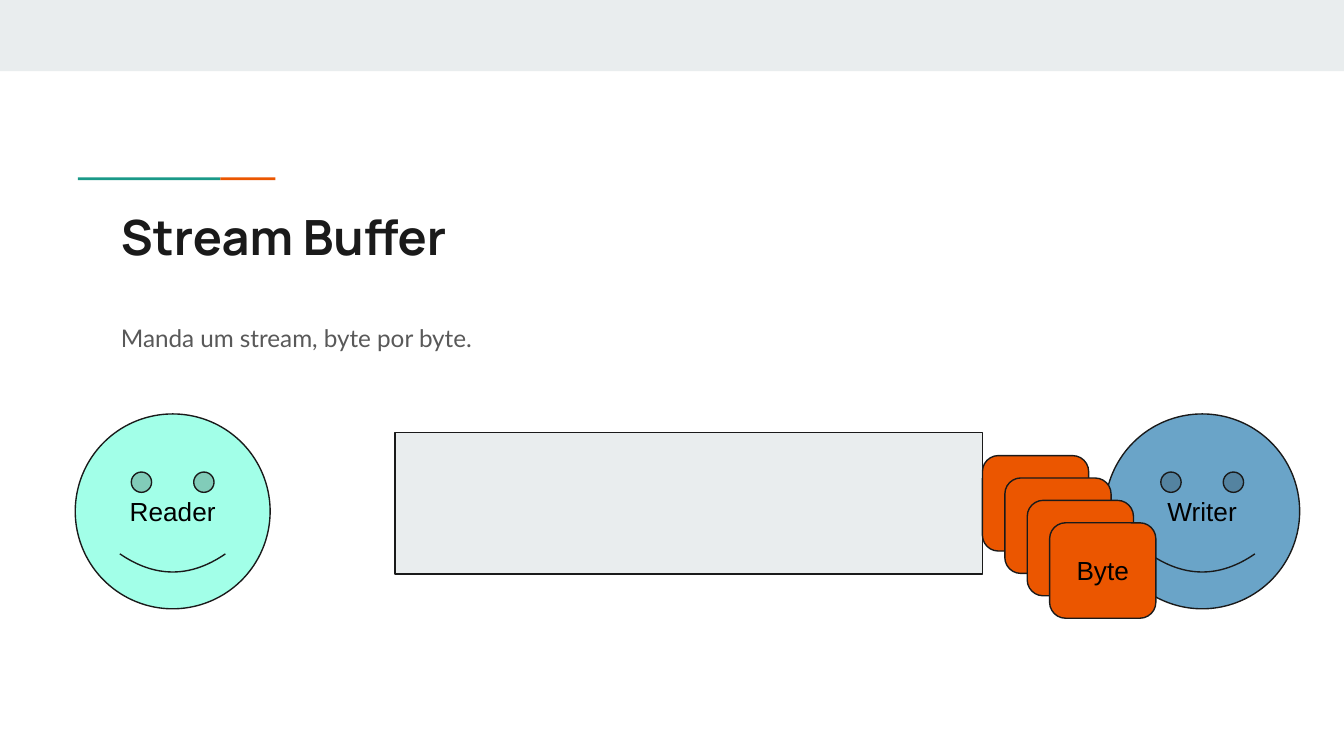
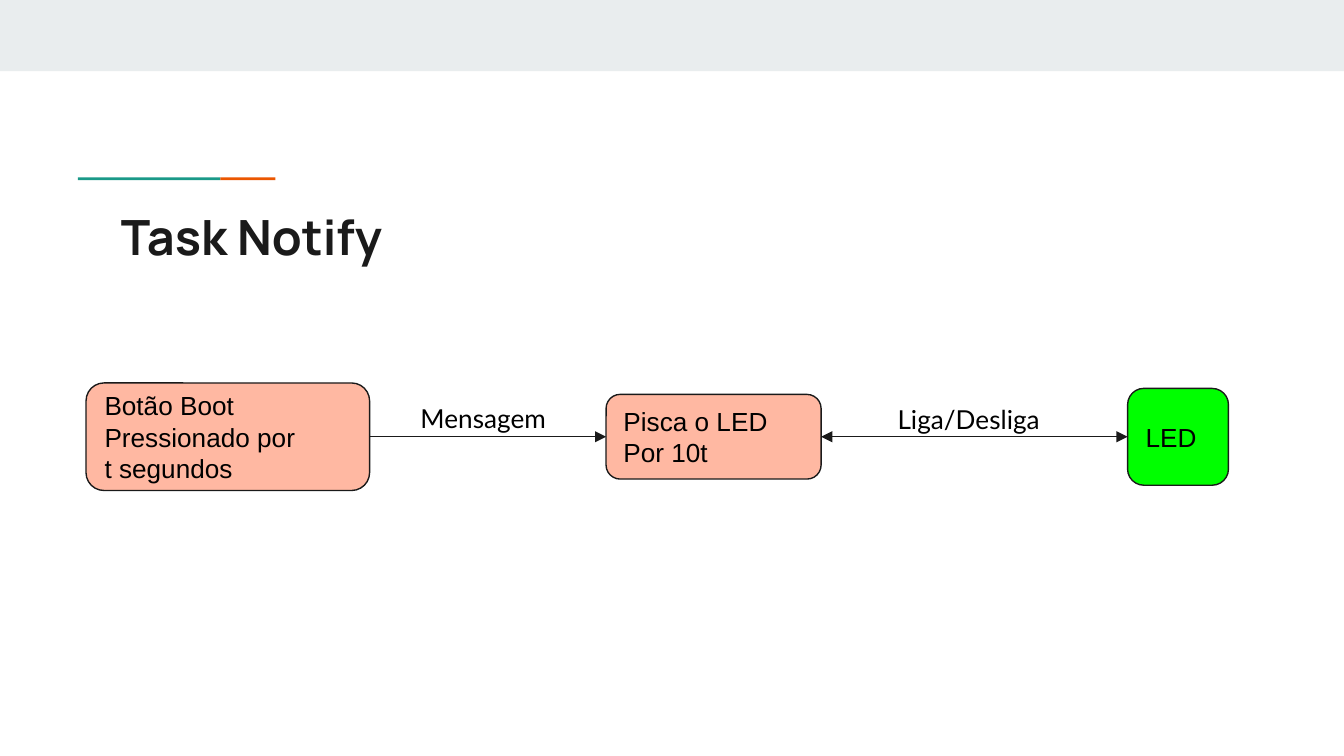
from dataclasses import dataclass

from lxml.etree import SubElement
from pptx import Presentation
from pptx.dml.color import RGBColor
from pptx.enum.shapes import MSO_CONNECTOR as Link, MSO_SHAPE as Preset
from pptx.enum.text import MSO_ANCHOR as Anchor, MSO_AUTO_SIZE as AutoSize, PP_ALIGN as Align
from pptx.oxml.ns import qn
from pptx.util import Inches, Pt


@dataclass(frozen=True)
class Theme:
    ink: str = "1A1A1A"
    black: str = "000000"
    gray: str = "595959"
    pale: str = "E9EDEE"
    orange: str = "EB5600"
    teal: str = "1A9988"
    mint: str = "A2FFE8"
    blue: str = "6AA4C8"
    peach: str = "FFB8A2"
    green: str = "00FF00"
    heading: str = "Manrope"
    body: str = "Lato"
    label: str = "Arial"
    title_size: float = 26
    body_size: float = 13
    label_size: float = 14
    line: float = 0.75


THEME = Theme()

# Content: positions are left, top, width, height in inches
SIZE = (10, 10 * 9 / 16)
TITLE_AT = (0.8, 1.44, 8.41, 0.59)
BODY_AT = (0.8, 2.27, 8.41, 2.47)
BANDS = [
    ((0, 0, 10, 0.53), THEME.pale),
    ((0.58, 1.32, 1.06, 0.02), THEME.teal),
    ((1.64, 1.32, 0.41, 0.02), THEME.orange),
]

STREAM_TITLE = "Stream Buffer"
STREAM_BODY = "Manda um stream, byte por byte."
BUFFER_AT = (2.94, 3.22, 4.37, 1.05)
FACES = [("Reader", 0.56, THEME.mint), ("Writer", 8.22, THEME.blue)]
FACE_TOP, FACE_SIZE, SMILE = 3.08, 1.45, 0.05
BYTE_COUNT, BYTE_STEP = 4, 0.5 / 3
BYTE_AT = (7.31, 3.39, 0.79, 0.71)

NOTIFY_TITLE = "Task Notify"
FLOW_MIDDLE = 3.25
# Text lines, left, width, height, preset, fill
STEPS = [
    (["Botão Boot", "Pressionado por", "t segundos"], 0.64, 2.11, 0.8,
     Preset.FLOWCHART_ALTERNATE_PROCESS, THEME.peach),
    (["Pisca o LED", "Por 10t"], 4.51, 1.6, 0.63,
     Preset.FLOWCHART_ALTERNATE_PROCESS, THEME.peach),
    (["LED"], 8.39, 0.75, 0.72, Preset.ROUNDED_RECTANGLE, THEME.green),
]
# Label, label position, arrowhead ends
ARROWS = [
    ("Mensagem", (3.03, 2.89, 1.35, 0.32), ["tailEnd"]),
    ("Liga/Desliga", (6.58, 2.9, 1.35, 0.32), ["headEnd", "tailEnd"]),
]
LEFT_SITE, RIGHT_SITE = 1, 3


# Helpers
def color(value):
    return RGBColor.from_string(value)


def inches(at):
    return [Inches(value) for value in at]


def write(box, lines, font=THEME.label, size=THEME.label_size, ink=THEME.black,
          bold=False, align=Align.LEFT, anchor=Anchor.TOP, spacing=1.0):
    frame = box.text_frame
    frame.word_wrap = True
    frame.auto_size = AutoSize.NONE
    frame.vertical_anchor = anchor
    frame.margin_left = frame.margin_right = Inches(0.1)
    frame.margin_top = frame.margin_bottom = Inches(0.1)
    for index, line in enumerate(lines):
        para = frame.add_paragraph() if index else frame.paragraphs[0]
        para.alignment = align
        para.line_spacing = spacing
        para.space_before = para.space_after = Pt(0)
        span = para.add_run()
        span.text = line
        span.font.name, span.font.size = font, Pt(size)
        span.font.bold = bold
        span.font.color.rgb = color(ink)


def add_block(page, preset, at, fill, lines=(), outlined=True, align=Align.CENTER):
    shape = page.shapes.add_shape(preset, *inches(at))
    shape.shadow.inherit = False
    shape.fill.solid()
    shape.fill.fore_color.rgb = color(fill)
    if outlined:
        shape.line.color.rgb = color(THEME.ink)
        shape.line.width = Pt(THEME.line)
    else:
        shape.line.fill.background()
    if lines:
        write(shape, lines, align=align, anchor=Anchor.MIDDLE)
    return shape


def add_arrow(page, start, end, heads):
    arrow = page.shapes.add_connector(Link.STRAIGHT, 0, 0, 0, 0)
    arrow.begin_connect(start, RIGHT_SITE)
    arrow.end_connect(end, LEFT_SITE)
    arrow.line.color.rgb = color(THEME.ink)
    arrow.line.width = Pt(THEME.line)
    properties = arrow.element.find(qn("p:spPr"))
    for head in heads:
        SubElement(properties.find(qn("a:ln")), qn(f"a:{head}"), type="triangle")
    SubElement(properties, qn("a:effectLst"))


def place(placeholder, at):
    (placeholder.left, placeholder.top,
     placeholder.width, placeholder.height) = inches(at)
    return placeholder


def add_page(deck, layout_name, title):
    page = deck.slides.add_slide(deck.slide_layouts.get_by_name(layout_name))
    write(place(page.shapes.title, TITLE_AT), [title],
          font=THEME.heading, size=THEME.title_size, ink=THEME.ink, bold=True)
    return page


def share_bands(deck, page):
    """Draw the bands, then move them behind everything on the master."""
    tree = deck.slide_master.shapes.element
    for index, (at, fill) in enumerate(BANDS):
        band = add_block(page, Preset.RECTANGLE, at, fill, outlined=False)
        tree.insert(2 + index, band.element)


# Slides
def build_stream_buffer(deck):
    page = add_page(deck, "Title and Content", STREAM_TITLE)
    share_bands(deck, page)

    body = place(page.placeholders[1], BODY_AT)
    write(body, [STREAM_BODY], font=THEME.body, size=THEME.body_size,
          ink=THEME.gray, spacing=1.15)
    for properties in body.element.iter(qn("a:pPr")):
        properties.set("marL", "0")
        properties.set("indent", "0")
        SubElement(properties, qn("a:buNone"))

    add_block(page, Preset.RECTANGLE, BUFFER_AT, THEME.pale)
    for name, left, fill in FACES:
        face = add_block(page, Preset.SMILEY_FACE,
                         (left, FACE_TOP, FACE_SIZE, FACE_SIZE), fill, [name])
        face.adjustments[0] = SMILE
    left, top, width, height = BYTE_AT
    for index in range(BYTE_COUNT):
        shift = index * BYTE_STEP
        add_block(page, Preset.ROUNDED_RECTANGLE,
                  (left + shift, top + shift, width, height), THEME.orange, ["Byte"])


def build_task_notify(deck):
    page = add_page(deck, "Title Only", NOTIFY_TITLE)
    steps = [
        add_block(page, preset, (left, FLOW_MIDDLE - height / 2, width, height),
                  fill, lines, align=Align.LEFT)
        for lines, left, width, height, preset, fill in STEPS
    ]
    for start, end, (label, at, heads) in zip(steps, steps[1:], ARROWS):
        add_arrow(page, start, end, heads)
        write(page.shapes.add_textbox(*inches(at)), [label], font=THEME.body)


def main():
    deck = Presentation()
    deck.slide_width, deck.slide_height = inches(SIZE)
    build_stream_buffer(deck)
    build_task_notify(deck)
    deck.save("out.pptx")


if __name__ == "__main__":
    main()
